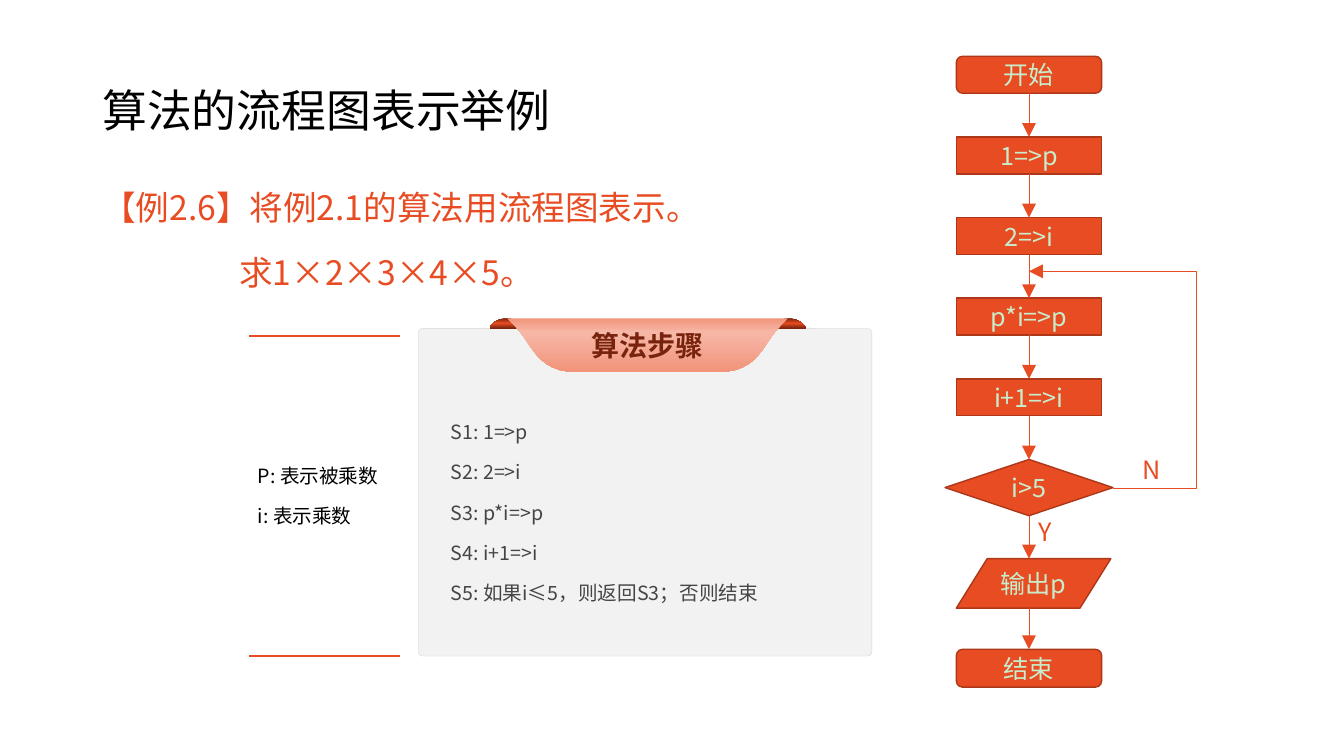
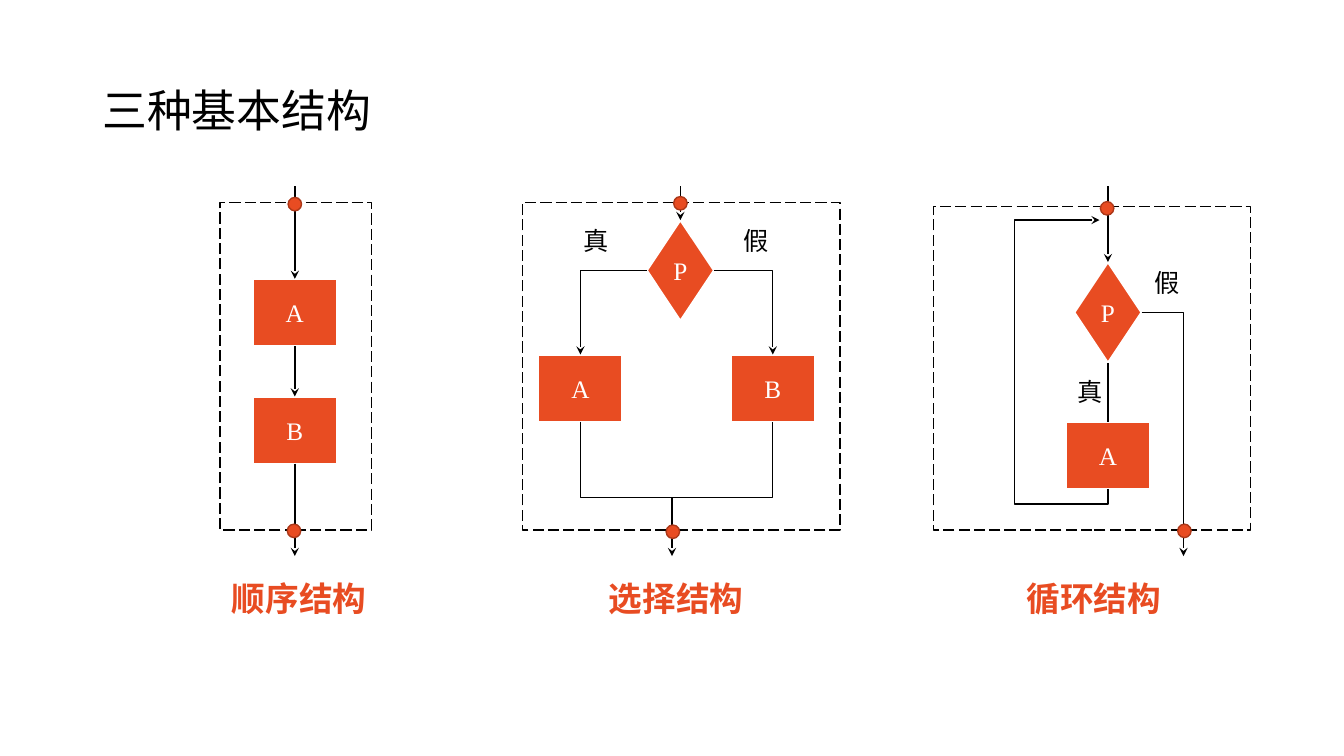
from copy import deepcopy

from lxml import etree
from pptx import Presentation
from pptx.dml.color import RGBColor
from pptx.enum.dml import MSO_LINE
from pptx.enum.shapes import MSO_CONNECTOR, MSO_SHAPE
from pptx.enum.text import MSO_ANCHOR, PP_ALIGN
from pptx.oxml.ns import qn
from pptx.util import Inches, Pt

ORANGE = RGBColor(0xE8, 0x4C, 0x22)
RUST = RGBColor(0xAC, 0x38, 0x19)
MAROON = RGBColor(0x78, 0x23, 0x0D)
SALMON = RGBColor(0xF1, 0x94, 0x7A)
BLUSH = RGBColor(0xF6, 0xB7, 0xA7)
MINT = RGBColor(0xC7, 0xED, 0xCC)
WHITE = RGBColor(0xFF, 0xFF, 0xFF)
BLACK = RGBColor(0x00, 0x00, 0x00)
CARD_FILL = RGBColor(0xF2, 0xF2, 0xF2)
CARD_LINE = RGBColor(0xD5, 0xD5, 0xD5)
CARD_TEXT = RGBColor(0x45, 0x45, 0x45)
SANS = "Noto Sans CJK SC"
SERIF = "Times New Roman"
COLUMNS, ROWS = 160, 90
TOP, BOTTOM = 0, 2


def write(box, lines, size=18, color=BLACK, font=SANS, bold=False, align=PP_ALIGN.LEFT,
          anchor=MSO_ANCHOR.MIDDLE, wrap=True, spacing=None, before=0, after=0):
    """Fill a shape with one paragraph per line and return the paragraphs."""
    frame = box.text_frame
    frame.word_wrap = wrap
    frame.vertical_anchor = anchor
    paras = []
    for index, line in enumerate(lines):
        para = frame.add_paragraph() if index else frame.paragraphs[0]
        para.alignment = align
        para.space_before, para.space_after = Pt(before), Pt(after)
        if spacing:
            para.line_spacing = spacing
        span = para.add_run()
        span.text = line
        span.font.size, span.font.bold, span.font.name = Pt(size), bold, font
        span.font.color.rgb = color
        etree.SubElement(span.font._element, qn("a:ea")).set("typeface", SANS)
        paras.append(para)
    return paras


def curve(start, pull_out, pull_in, end, steps=12):
    """Return points along a cubic curve, both ends included."""
    points = []
    for step in range(steps + 1):
        t = step / steps
        weights = ((1 - t) ** 3, 3 * t * (1 - t) ** 2, 3 * t * t * (1 - t), t ** 3)
        corners = (start, pull_out, pull_in, end)
        points.append(tuple(sum(w * corner[axis] for w, corner in zip(weights, corners))
                            for axis in (0, 1)))
    return points


def mirror(points, axis):
    """Reflect points about a vertical axis, in reverse order."""
    return [(2 * axis - x, y) for x, y in reversed(points)]


class Deck:
    """Holds the deck style, its grid and the current page."""

    def __init__(self):
        """Start an empty wide deck."""
        self.deck = Presentation()
        self.deck.slide_width, self.deck.slide_height = Inches(13.33), Inches(7.5)
        self.page = None

    def x(self, columns):
        """Turn columns into a length."""
        return round(self.deck.slide_width * columns / COLUMNS)

    def y(self, rows):
        """Turn rows into a length."""
        return round(self.deck.slide_height * rows / ROWS)

    def place(self, left, top, width, height):
        """Turn a grid area into lengths."""
        return self.x(left), self.y(top), self.x(width), self.y(height)

    def new_page(self, title):
        """Add a blank page with its title."""
        self.page = self.deck.slides.add_slide(self.deck.slide_layouts[6])
        self.text((11, 4.8, 138, 17.4), [title], size=32, spacing=0.9)

    def text(self, area, lines, **style):
        """Add a text box."""
        box = self.page.shapes.add_textbox(*self.place(*area))
        return write(box, lines, **style)

    def shape(self, kind, area, fill=ORANGE, line=RUST, weight=1):
        """Add a preset shape."""
        box = self.page.shapes.add_shape(kind, *self.place(*area))
        box.shadow.inherit = False
        if fill is None:
            box.fill.background()
        else:
            box.fill.solid()
            box.fill.fore_color.rgb = fill
        box.line.color.rgb = line
        box.line.width = Pt(weight)
        return box

    def node(self, kind, area, label, **style):
        """Add a flowchart step on the first page's style."""
        box = self.shape(kind, area)
        write(box, [label], color=MINT, align=PP_ALIGN.CENTER, wrap=False)
        return box

    def block(self, label, left, top, kind=MSO_SHAPE.RECTANGLE, width=10, height=8):
        """Add a white-edged block of a control structure."""
        box = self.shape(kind, (left, top, width, height), line=WHITE, weight=1.5)
        write(box, [label], color=WHITE, font=SERIF, align=PP_ALIGN.CENTER, wrap=False)
        return box

    def decision(self, left, top):
        """Add the diamond of a control structure."""
        return self.block("P", left, top, MSO_SHAPE.DIAMOND, 8, 12)

    def frame(self, left, top, width, height):
        """Add a dashed frame."""
        box = self.shape(MSO_SHAPE.RECTANGLE, (left, top, width, height), None, BLACK)
        box.line.dash_style = MSO_LINE.LONG_DASH

    def dot(self, column, row, size=1.6):
        """Add an entry or exit dot by its centre."""
        self.shape(MSO_SHAPE.FLOWCHART_CONNECTOR,
                   (column - size / 2, row - size / 2, size, size))

    def stroke(self, item, color, weight, head, head_size):
        """Style a line and give it an arrowhead."""
        item.line.color.rgb = color
        item.line.width = Pt(weight)
        if head:
            tail = etree.SubElement(item.element.spPr.find(qn("a:ln")), qn("a:tailEnd"))
            for key, value in (("type", head), ("w", head_size), ("len", head_size)):
                tail.set(key, value)

    def link(self, start, end, color=BLACK, weight=1, head="stealth", head_size="med"):
        """Draw a straight line between points or (shape, side) pairs."""
        ends = [(0, 0) if hasattr(e[0], "shape_id") else (self.x(e[0]), self.y(e[1]))
                for e in (start, end)]
        line = self.page.shapes.add_connector(MSO_CONNECTOR.STRAIGHT, *ends[0], *ends[1])
        for target, join in ((start, line.begin_connect), (end, line.end_connect)):
            if hasattr(target[0], "shape_id"):
                join(*target)
        self.stroke(line, color, weight, head, head_size)
        etree.SubElement(line.element.spPr, qn("a:effectLst"))

    def outline(self, points, close):
        """Build a freeform from grid points."""
        spots = [(self.x(column), self.y(row)) for column, row in points]
        builder = self.page.shapes.build_freeform(*spots[0], scale=1.0)
        builder.add_line_segments(spots[1:], close=close)
        box = builder.convert_to_shape()
        box.shadow.inherit = False
        return box

    def route(self, points, color=BLACK, weight=1, head="stealth", head_size="med"):
        """Draw a bent line."""
        box = self.outline(points, False)
        box.fill.background()
        self.stroke(box, color, weight, head, head_size)

    def ribbon(self, points, edge, middle, share):
        """Draw a closed outline with a three-stop vertical gradient."""
        box = self.outline(points, True)
        box.line.fill.background()
        box.fill.gradient()
        box.fill.gradient_angle = 270
        stops = box.element.spPr.find(".//" + qn("a:gsLst"))
        stops.insert(1, deepcopy(stops[0]))
        for stop, position, color in zip(box.fill.gradient_stops, (0, share, 1),
                                         (edge, middle, edge)):
            stop.position = position
            stop.color.rgb = color
        return box


def add_steps_card(deck):
    """Draw the card of steps with its ribbon."""
    card = deck.shape(MSO_SHAPE.ROUNDED_RECTANGLE, (49.8, 39.1, 54, 39),
                      CARD_FILL, CARD_LINE, 0.25)
    card.adjustments[0] = 0.014
    card.text_frame.margin_left = card.text_frame.margin_right = deck.x(3.7)
    card.text_frame.margin_top, card.text_frame.margin_bottom = deck.y(9.5), deck.y(4.7)
    steps = ["1=>p", "2=>i", "p*i=>p", "i+1=>i", "如果i≤5，则返回S3；否则结束"]
    write(card, [f"S{number}: {step}" for number, step in enumerate(steps, 1)],
          size=14, color=CARD_TEXT, spacing=Pt(16.6), before=6, after=6)

    middle = 77.1
    cap = [(58.3, 39.1)]
    cap += curve((58.3, 39), (58.6, 38.5), (59, 38.2), (59.6, 38))
    cap += [(60, 37.9), (60.6, 37.9)]
    cap += curve((61, 38), (61.6, 38.2), (62, 38.5), (62.3, 39)) + [(62.4, 39.1)]
    for points in (cap, mirror(cap, middle)):
        deck.ribbon(points, MAROON, ORANGE, 0.49)
    side = [(60.4, 37.9)] + curve((61.3, 38.8), (63.5, 41), (63.8, 44.3), (68.8, 44.3))
    banner = deck.ribbon(side + mirror(side, middle), SALMON, BLUSH, 0.26)
    write(banner, ["算法步骤"], size=20, color=MAROON, bold=True, align=PP_ALIGN.CENTER)


def add_flowchart(deck):
    """Draw the flowchart of the product loop."""
    axis, width, top, pitch = 122.5, 17.3, 6.7, 9.6
    left = axis - width / 2
    arrow = dict(color=ORANGE, weight=0.5, head="triangle", head_size="lg")
    rounded = MSO_SHAPE.FLOWCHART_ALTERNATE_PROCESS
    nodes = [deck.node(MSO_SHAPE.FLOWCHART_PROCESS if index else rounded,
                       (left, top + index * pitch, width, 4.4), label)
             for index, label in enumerate(["开始", "1=>p", "2=>i", "p*i=>p", "i+1=>i"])]
    nodes.append(deck.node(MSO_SHAPE.FLOWCHART_DECISION, (axis - 10, 54.7, 20, 6.7), "i>5"))
    for upper, lower in zip(nodes, nodes[1:]):
        deck.link((upper, BOTTOM), (lower, TOP), **arrow)
    deck.node(MSO_SHAPE.FLOWCHART_DATA, (left, 66.5, 18.4, 5.9), "输出p")
    finish = deck.node(rounded, (left, 77.3, width, 4.5), "结束")
    deck.link((nodes[-1], BOTTOM), (axis, 66.5), **arrow)
    deck.link((axis, 72.4), (finish, TOP), **arrow)
    deck.route([(axis + 10, 58.1), (142.4, 58.1), (142.4, 32.3), (axis, 32.3)], **arrow)
    for label, column, row in (("Y", axis, 60.6), ("N", 134.8, 53.2)):
        deck.text((column, row, 6.5, 5.4), [label], color=ORANGE)


def add_example_page(deck):
    """Build the page of the worked example."""
    deck.new_page("算法的流程图表示举例")
    paras = deck.text((11, 20.5, 109, 7.7),
                      ["【例2.6】将例2.1的算法用流程图表示。", "求1×2×3×4×5。"],
                      size=24, color=ORANGE, anchor=MSO_ANCHOR.TOP, spacing=Pt(36))
    paras[1].space_before = Pt(10)
    paras[1]._p.get_or_add_pPr().set("marL", str(deck.x(16.3)))
    add_steps_card(deck)
    add_flowchart(deck)
    for row in (40, 78.1):
        deck.link((29.7, row), (47.6, row), color=ORANGE, weight=2, head=None)
    deck.text((29.5, 40, 18.5, 38.1), ["P: 表示被乘数", "i: 表示乘数"],
              size=14, spacing=Pt(16.6), before=6, after=6)


def add_structures_page(deck):
    """Build the page of the three control structures."""
    deck.new_page("三种基本结构")
    entry, leave = 22.2, 66.2

    first, second = deck.block("A", 30.1, 33.2), deck.block("B", 30.1, 47.2)
    deck.link((35.1, entry), (first, TOP))
    deck.link((first, BOTTOM), (second, TOP))
    deck.link((second, BOTTOM), (35.1, leave))

    choice = deck.decision(77, 26.2)
    deck.link((81, entry), (choice, TOP))
    for label, corner, center in (("A", 77, 69.1), ("B", 85, 92)):
        deck.block(label, center - 5, 42.2)
        deck.route([(corner, 32.2), (center, 32.2), (center, 42.2)])
    deck.route([(69.1, 50.2), (69.1, 59.2), (92, 59.2), (92, 50.2)], head=None)
    deck.link((80, 59.2), (80, leave))

    test, body = deck.decision(127.9, 31.2), deck.block("A", 126.9, 50.2)
    deck.link((131.9, entry), (test, TOP))
    deck.link((test, BOTTOM), (body, TOP), head=None)
    deck.route([(135.9, 37.2), (140.9, 37.2), (140.9, leave)])
    deck.route([(131.9, 58.2), (131.9, 60), (120.8, 60), (120.8, 26.2), (130.9, 26.2)])

    for area in ((26.2, 24.1, 18, 39), (62.2, 24.1, 37.8, 39), (111.1, 24.6, 37.8, 38.5)):
        deck.frame(*area)
    for spot in ((35.1, 24.3), (35, 63.2), (81, 24.2), (80.1, 63.3),
                 (131.8, 24.8), (141, 63.2)):
        deck.dot(*spot)
    for label, column, row in (("真", 68, 26.2), ("假", 87, 26.2),
                               ("假", 135.9, 31.2), ("真", 126.8, 44.2)):
        deck.text((column, row, 6, 4.8), [label], font=SERIF, align=PP_ALIGN.CENTER,
                  wrap=False)
    for caption, column in (("顺序结构", 24.1), ("选择结构", 69), ("循环结构", 118.7)):
        deck.text((column, 68.2, 23, 6.1), [caption], size=24, color=ORANGE,
                  font="Arial", bold=True, align=PP_ALIGN.CENTER)


def main():
    """Build and save the deck."""
    deck = Deck()
    add_example_page(deck)
    add_structures_page(deck)
    deck.deck.save("out.pptx")


if __name__ == "__main__":
    main()
